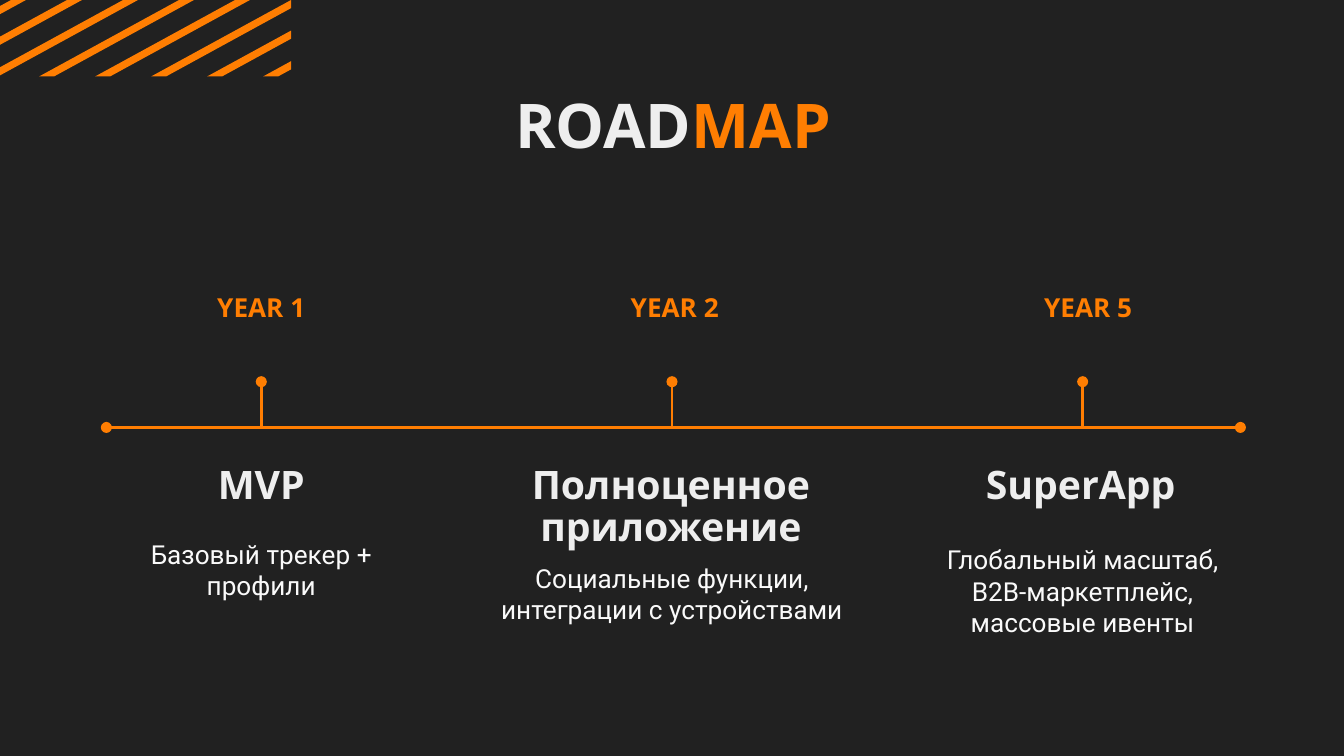
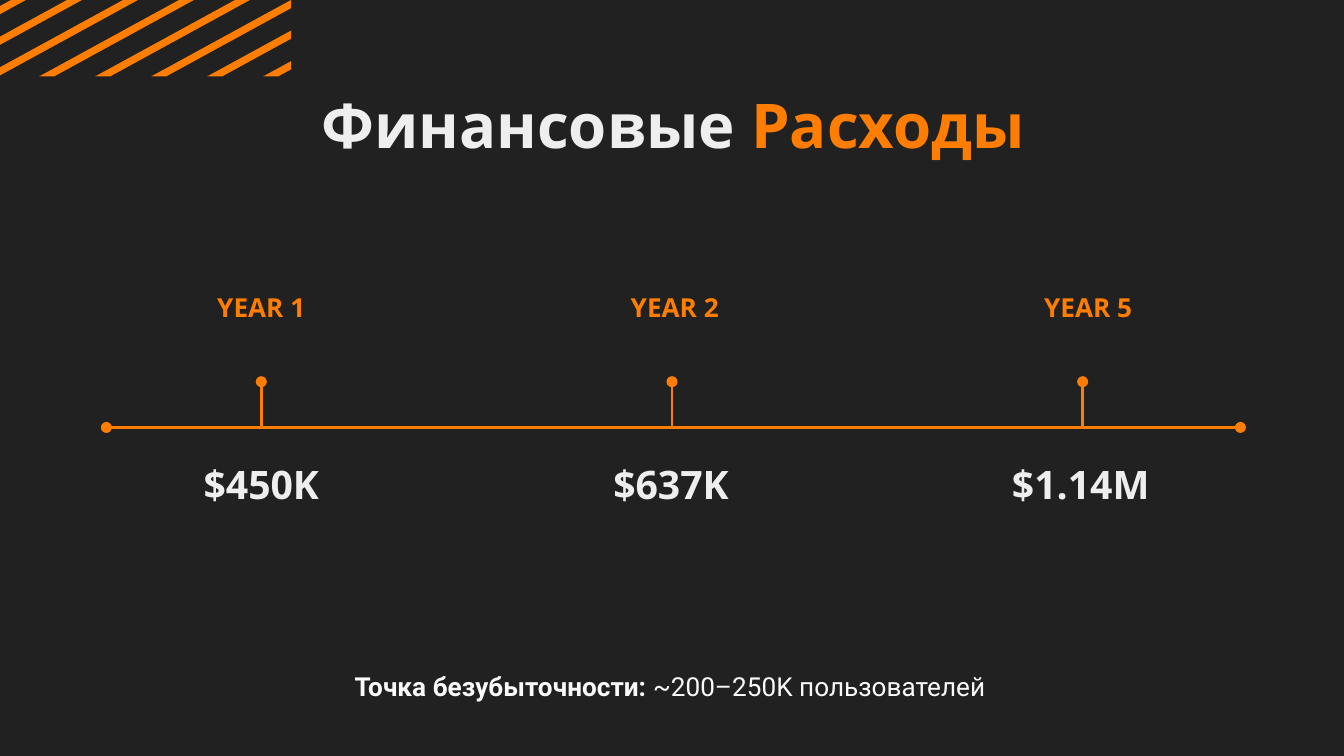
import pptx
import pptx.dml.color
import pptx.enum.shapes
import pptx.enum.text
import pptx.oxml
import pptx.oxml.ns
import pptx.util

Pt = pptx.util.Pt
RGBColor = pptx.dml.color.RGBColor

DARK = RGBColor(0x21, 0x21, 0x21)
ORANGE = RGBColor(0xFF, 0x7E, 0x02)
LIGHT = RGBColor(0xEE, 0xEE, 0xEE)
PALE = RGBColor(0xFA, 0xFA, 0xFA)
HEADING_FONT = "Open Sans"
BODY_FONT = "Roboto"

YEARS = ["YEAR 1", "YEAR 2", "YEAR 5"]
FIRST_TICK = 140
TICK_STEP = 220
YEAR_STEP = 221.5
AXIS_TOP = 229

STRIPE_LEFT = -32
STRIPE_RIGHT = 156
STRIPE_HEIGHT = 41
STRIPE_RUN = 75
STRIPE_WIDTH = 8
STRIPE_STEP = 30


def stripe_edge(top_x):
    upper_x = min(top_x, STRIPE_RIGHT)
    lower_x = max(top_x - STRIPE_RUN, STRIPE_LEFT)
    return [(Pt(x), Pt((top_x - x) * STRIPE_HEIGHT / STRIPE_RUN)) for x in (upper_x, lower_x)]


class TimelineDeck:
    def __init__(self):
        self.deck = pptx.Presentation()
        self.deck.slide_width = Pt(720)
        self.deck.slide_height = Pt(405)
        self.layout = self.deck.slide_layouts[5]
        background = self.layout.background.fill
        background.solid()
        background.fore_color.rgb = DARK
        self.page = None

    def add_page(self, *title_spans):
        self.page = self.deck.slides.add_slide(self.layout)
        if len(self.deck.slides) == 1:
            self.add_stripes()
        title = self.page.shapes.title
        title.left, title.top, title.width, title.height = Pt(132), Pt(44), Pt(457), Pt(49)
        self.set_text(title, title_spans, HEADING_FONT, 33, bold=True, spacing=0.9)

    def add_stripes(self):
        builder = None
        for top_x in range(-24, 217, STRIPE_STEP):
            upper, lower = stripe_edge(top_x)
            far_upper, far_lower = stripe_edge(top_x + STRIPE_WIDTH)
            if builder is None:
                builder = self.page.shapes.build_freeform(*upper, scale=1.0)
            else:
                builder.move_to(*upper)
            builder.add_line_segments([lower, far_lower, far_upper], close=True)
        stripes = builder.convert_to_shape()
        stripes.shadow.inherit = False
        stripes.fill.solid()
        stripes.fill.fore_color.rgb = ORANGE
        stripes.line.fill.background()
        self.layout.shapes.element.append(stripes.element)

    def set_text(self, box, spans, font, size, bold=False, spacing=1.0, inset=7.2,
                 anchor=pptx.enum.text.MSO_ANCHOR.TOP):
        frame = box.text_frame
        frame.word_wrap = True
        frame.auto_size = pptx.enum.text.MSO_AUTO_SIZE.NONE
        frame.vertical_anchor = anchor
        frame.margin_left = frame.margin_right = Pt(inset)
        frame.margin_top = frame.margin_bottom = Pt(inset)
        paragraph = frame.paragraphs[0]
        paragraph.alignment = pptx.enum.text.PP_ALIGN.CENTER
        paragraph.line_spacing = spacing
        paragraph.font.name = font
        paragraph.font.size = Pt(size)
        paragraph.font.bold = bold
        for text, color, *span_bold in spans:
            span = paragraph.add_run()
            span.text = text
            span.font.color.rgb = color
            if span_bold:
                span.font.bold = span_bold[0]

    def add_text(self, center, top, width, height, spans, font, size, **style):
        box = self.page.shapes.add_textbox(Pt(center - width / 2), Pt(top), Pt(width), Pt(height))
        self.set_text(box, spans, font, size, **style)

    def add_description(self, center, top, width, *spans):
        self.add_text(center, top, width, 42, spans, BODY_FONT, 14)

    def add_line(self, group, start, end, ovals):
        line = group.shapes.add_connector(
            pptx.enum.shapes.MSO_CONNECTOR.STRAIGHT, *map(Pt, start), *map(Pt, end))
        line.line.color.rgb = ORANGE
        line.line.width = Pt(1.5)
        properties = line.element.spPr
        outline = properties.find(pptx.oxml.ns.qn("a:ln"))
        for tag in ovals:
            oval = pptx.oxml.parse_xml(f'<a:{tag} {pptx.oxml.ns.nsdecls("a")} type="oval"/>')
            outline.append(oval)
        properties.append(pptx.oxml.parse_xml(f'<a:effectLst {pptx.oxml.ns.nsdecls("a")}/>'))

    def add_timeline(self, milestones):
        group = self.page.shapes.add_group_shape()
        self.add_line(group, (57, AXIS_TOP), (664.5, AXIS_TOP), ["headEnd", "tailEnd"])
        for index, (year, milestone) in enumerate(zip(YEARS, milestones)):
            tick = FIRST_TICK + index * TICK_STEP
            self.add_line(group, (tick, AXIS_TOP), (tick, 204.5), ["tailEnd"])
            self.add_text(FIRST_TICK + index * YEAR_STEP, 152.5, 120, 24.5, [(year, ORANGE)],
                          HEADING_FONT, 14, bold=True, inset=0,
                          anchor=pptx.enum.text.MSO_ANCHOR.MIDDLE)
            self.add_text(tick - index * 0.5, 242, 168.5, 32.5, [(milestone, LIGHT)],
                          HEADING_FONT, 21, bold=True, spacing=0.9)

    def save(self):
        self.deck.save("out.pptx")


def main():
    slides = TimelineDeck()

    slides.add_page(("ROAD", LIGHT), ("MAP", ORANGE))
    slides.add_timeline(["MVP", "Полноценное приложение", "SuperApp"])
    slides.add_description(140, 281, 168.5, ("Базовый трекер + профили", PALE))
    slides.add_description(360, 294, 220, ("Социальные функции, интеграции с устройствами", PALE))
    slides.add_description(580, 284, 168.5,
                           ("Глобальный масштаб, B2B-маркетплейс, массовые ивенты", PALE))

    slides.add_page(("Финансовые ", LIGHT), ("Расходы", ORANGE))
    slides.add_timeline(["$450K", "$637K", "$1.14M"])
    slides.add_description(359, 352, 406, ("Точка безубыточности: ", PALE, True),
                           ("~200–250K пользователей", PALE))

    slides.save()


if __name__ == "__main__":
    main()
